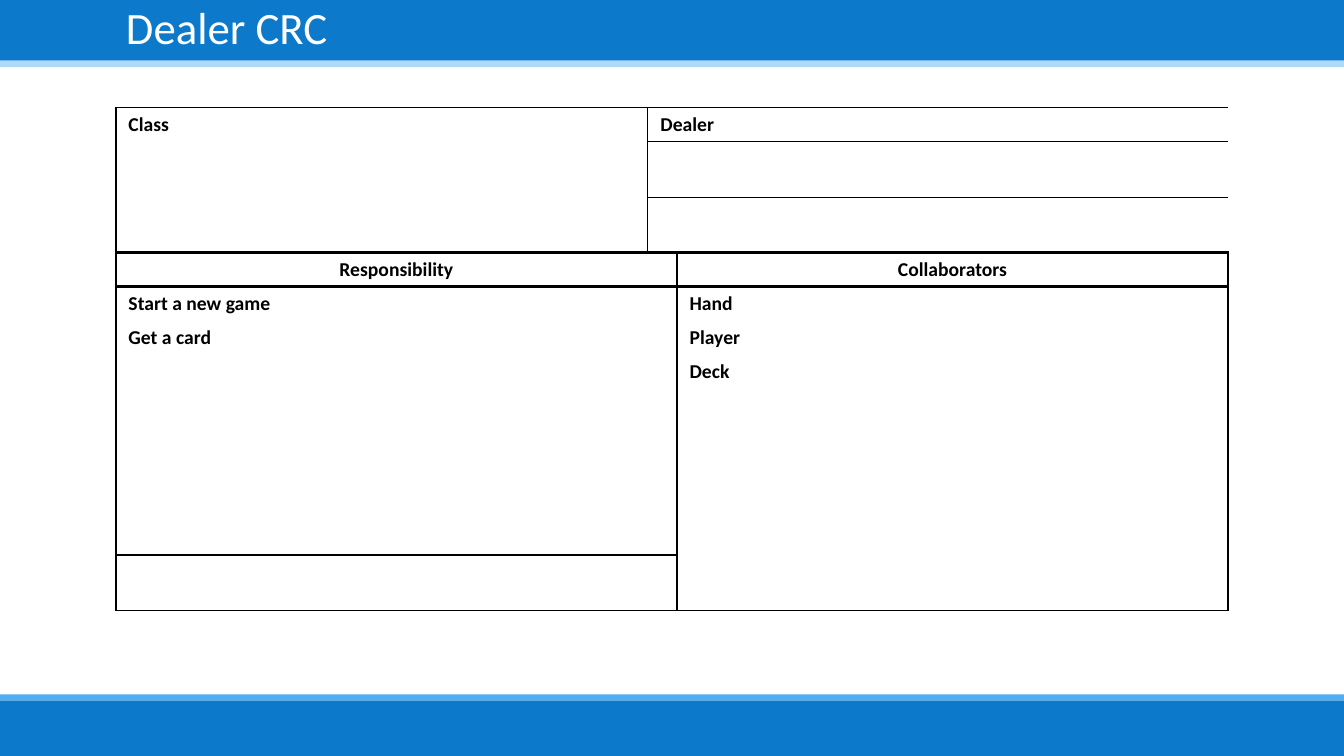
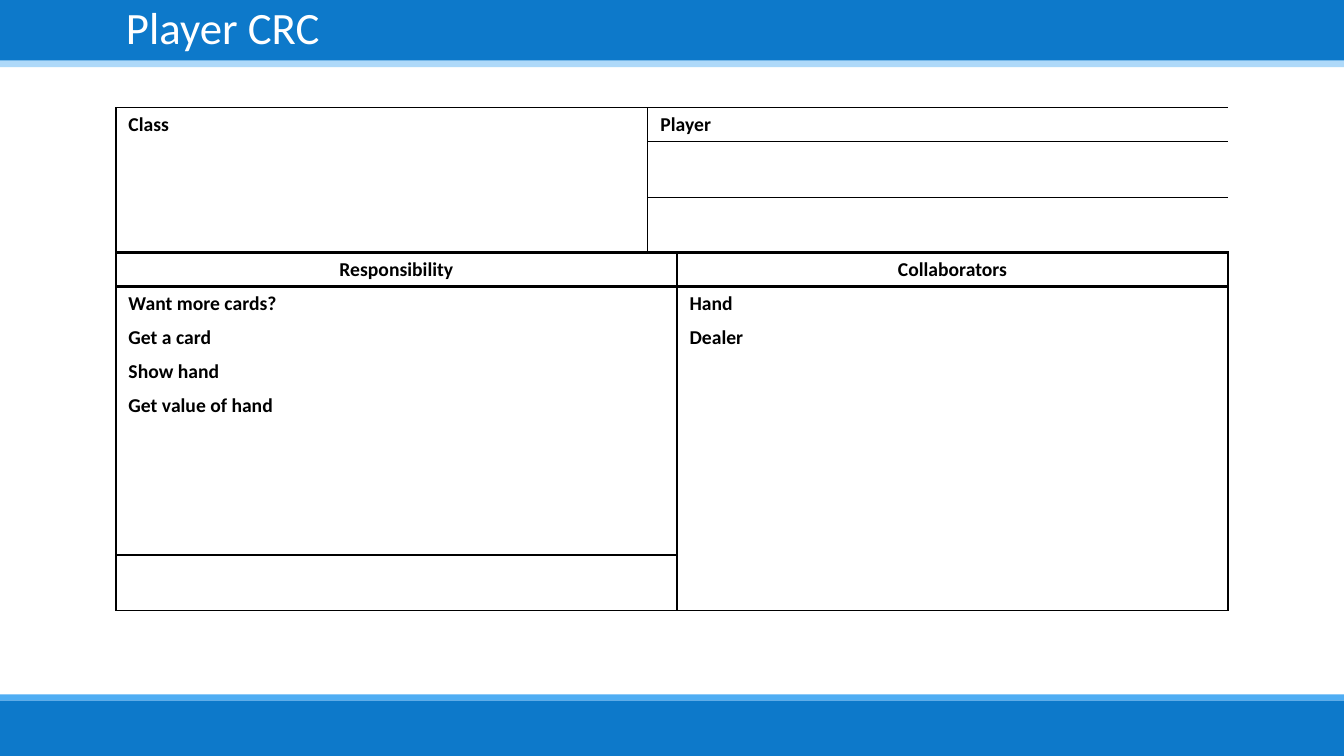
"""Build two CRC card slides, one for the dealer and one for the player."""
from dataclasses import dataclass
from itertools import product

from lxml.etree import SubElement
from pptx import Presentation
from pptx.dml.color import RGBColor
from pptx.enum.shapes import MSO_SHAPE
from pptx.enum.text import MSO_ANCHOR, MSO_AUTO_SIZE, PP_ALIGN
from pptx.oxml.ns import qn
from pptx.util import Pt


@dataclass(frozen=True)
class Theme:
    font: str = "Calibri"
    title_size: float = 32
    cell_size: float = 14
    blue: str = "0D79CA"
    pale_blue: str = "8CC9F7"
    light_blue: str = "4FADF3"
    white: str = "FFFFFF"
    black: str = "000000"
    thin: float = 1
    thick: float = 2


theme = Theme()
WIDTH, HEIGHT = 960, 540
LEFT, CONTENT_WIDTH = 82.8, 793.6
TABLE_TOP = 77
COLUMN_WIDTHS = [380, 20, 393.6]
TEXT_ROW, EMPTY_ROW = 24.3, 39.6
ROW_HEIGHTS = [TEXT_ROW, *[EMPTY_ROW] * 2, *[TEXT_ROW] * 4, *[EMPTY_ROW] * 4]
HEADER_ROW = 3
HANGING_INDENT = 27

BANDS = [
    (0, 0, WIDTH, 48, theme.pale_blue, 70),
    (0, 0, WIDTH, 43.2, theme.blue, 100),
    (-0.5, 496, WIDTH + 1, 4.5, theme.light_blue, 100),
    (0, 500.4, WIDTH, HEIGHT - 500.4, theme.blue, 100),
]

BOXES = [
    (0, 2, 0, 0),
    (0, 0, 1, 2),
    (1, 1, 1, 2),
    (2, 2, 1, 2),
    (3, 3, 0, 1),
    (3, 3, 2, 2),
    (4, 9, 0, 1),
    (10, 10, 0, 1),
    (4, 10, 2, 2),
]

CARDS = [
    ("Dealer", ["Start a new game", "Get a card"], ["Hand", "Player", "Deck"]),
    ("Player", ["Want more cards?", "Get a card", "Show hand", "Get value of hand"], ["Hand", "Dealer"]),
]


def add_border(cell, side, width):
    line = SubElement(cell._tc.get_or_add_tcPr(), qn(f"a:ln{side}"), w=str(Pt(width)))
    if width:
        fill = SubElement(line, qn("a:solidFill"))
        SubElement(fill, qn("a:srgbClr"), val=theme.black)
    else:
        SubElement(line, qn("a:noFill"))


def style_paragraph(paragraph, size, color, alignment, bold=False):
    paragraph.alignment = alignment
    paragraph.font.name = theme.font
    paragraph.font.size = Pt(size)
    paragraph.font.bold = bold
    paragraph.font.color.rgb = RGBColor.from_string(color)


presentation = Presentation()
presentation.slide_width, presentation.slide_height = Pt(WIDTH), Pt(HEIGHT)
layout = presentation.slide_layouts.get_by_name("Title Only")
slides = [presentation.slides.add_slide(layout) for card in CARDS]

for number, (left, top, width, height, color, opacity) in enumerate(BANDS):
    band = slides[0].shapes.add_shape(MSO_SHAPE.RECTANGLE, Pt(left), Pt(top), Pt(width), Pt(height))
    band.shadow.inherit = False
    band.line.fill.background()
    band.fill.solid()
    band.fill.fore_color.rgb = RGBColor.from_string(color)
    if opacity < 100:
        tint = band.element.find(f"{qn('p:spPr')}/{qn('a:solidFill')}/{qn('a:srgbClr')}")
        SubElement(tint, qn("a:alpha"), val=str(opacity * 1000))
    band.element.nvSpPr.cNvPr.set("id", str(20 + number))
    layout.placeholders[0].element.addprevious(band.element)

for slide, (name, responsibilities, collaborators) in zip(slides, CARDS):
    title = slide.shapes.title
    title.left, title.top, title.width, title.height = Pt(LEFT), Pt(0), Pt(CONTENT_WIDTH), Pt(43.2)
    title.text_frame.text = f"{name} CRC"
    title.text_frame.auto_size = MSO_AUTO_SIZE.NONE
    title.text_frame.vertical_anchor = MSO_ANCHOR.MIDDLE
    paragraph = title.text_frame.paragraphs[0]
    paragraph.line_spacing = 0.9
    style_paragraph(paragraph, theme.title_size, theme.white, PP_ALIGN.LEFT)

    table = slide.shapes.add_table(
        len(ROW_HEIGHTS), len(COLUMN_WIDTHS), Pt(LEFT), Pt(TABLE_TOP), Pt(CONTENT_WIDTH), Pt(sum(ROW_HEIGHTS))
    ).table
    table.first_row = table.horz_banding = False
    for column, width in zip(table.columns, COLUMN_WIDTHS):
        column.width = Pt(width)
    for row, height in zip(table.rows, ROW_HEIGHTS):
        row.height = Pt(height)

    texts = {(0, 0): "Class", (0, 1): name, (HEADER_ROW, 0): "Responsibility", (HEADER_ROW, 2): "Collaborators"}
    for column, entries in ((0, responsibilities), (2, collaborators)):
        for row, entry in enumerate(entries, HEADER_ROW + 1):
            texts[row, column] = entry

    for first_row, last_row, first_column, last_column in BOXES:
        for row, column in product(range(first_row, last_row + 1), range(first_column, last_column + 1)):
            cell = table.cell(row, column)
            header = row == HEADER_ROW
            outer = theme.thick if header else theme.thin
            top = theme.thick if row in (HEADER_ROW, HEADER_ROW + 1) else theme.thin
            bottom = theme.thick if row in (HEADER_ROW - 1, HEADER_ROW) else theme.thin
            left = outer if column == 0 else theme.thin
            right = outer if column == 2 else theme.thin
            add_border(cell, "L", left if column == first_column else 0)
            add_border(cell, "R", right if column == last_column else 0)
            add_border(cell, "T", top if row == first_row else 0)
            add_border(cell, "B", bottom if row == last_row else 0)
            cell.fill.solid()
            cell.fill.fore_color.rgb = RGBColor.from_string(theme.white)
            text = texts.get((row, column), "")
            cell.text = text
            cell.margin_left = cell.margin_right = Pt(9)
            cell.margin_top = cell.margin_bottom = Pt(3.6 if text else 0)
            paragraph = cell.text_frame.paragraphs[0]
            properties = paragraph._p.get_or_add_pPr()
            properties.set("marL", str(Pt(HANGING_INDENT)))
            properties.set("indent", str(Pt(-HANGING_INDENT)))
            alignment = PP_ALIGN.CENTER if header else PP_ALIGN.JUSTIFY
            style_paragraph(paragraph, theme.cell_size, theme.black, alignment, bold=True)
        for row in range(first_row, last_row + 1):
            if last_column > first_column:
                table.cell(row, first_column).merge(table.cell(row, last_column))

presentation.save("out.pptx")
